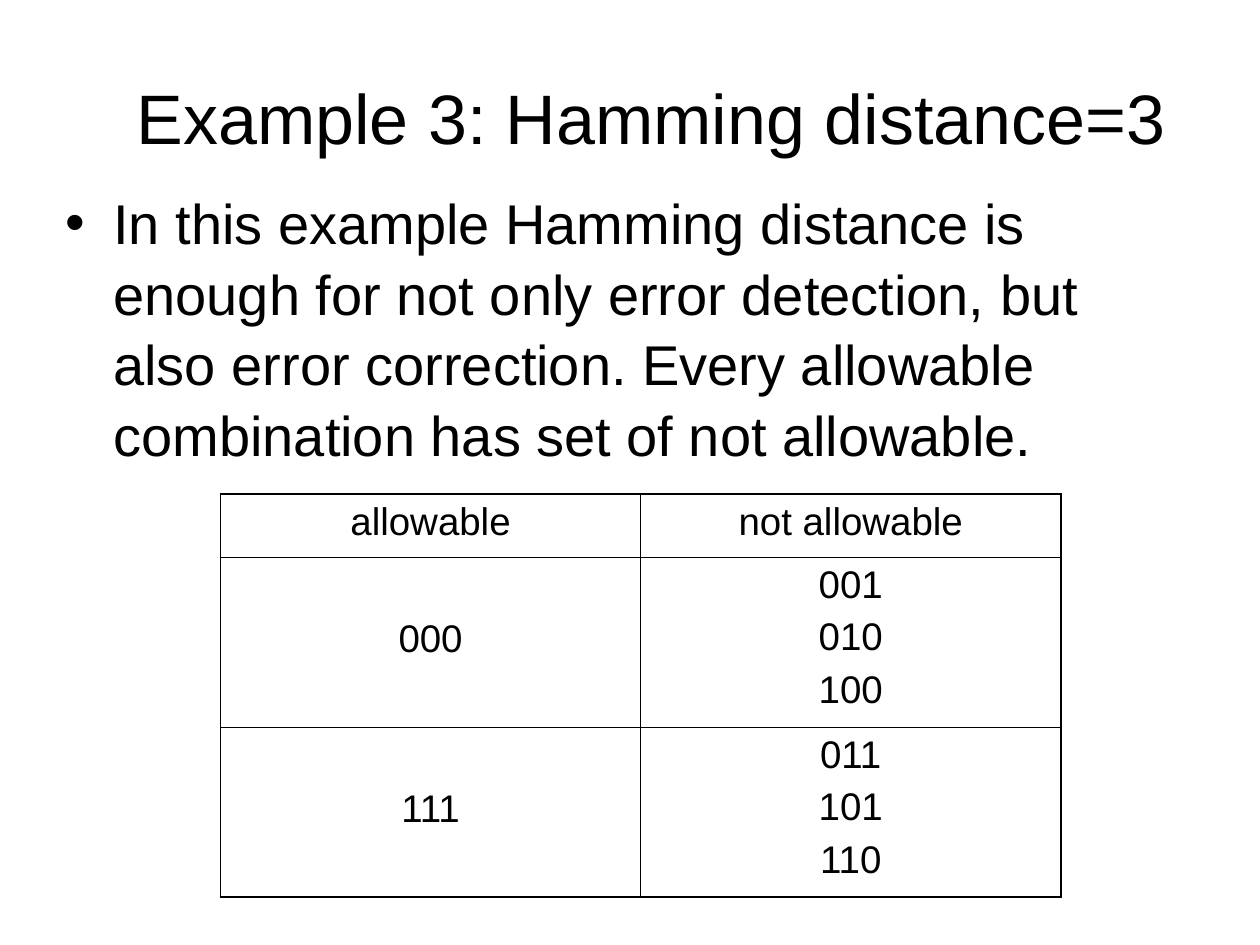
from lxml import etree
from pptx import Presentation
from pptx.dml.color import RGBColor
from pptx.enum.text import MSO_ANCHOR, MSO_AUTO_SIZE, PP_ALIGN
from pptx.oxml.ns import qn
from pptx.util import Inches, Pt

LEFT, CENTER = PP_ALIGN.LEFT, PP_ALIGN.CENTER
TOP, MIDDLE = MSO_ANCHOR.TOP, MSO_ANCHOR.MIDDLE
NO_AUTOFIT = MSO_AUTO_SIZE.NONE
FONT = "Arial"
BLACK = "000000"
OUTER, INNER = 1.08, 0.45
TITLE = "Example 3: Hamming distance=3"
BODY = ("In this example Hamming distance is enough for not only error detection, "
        "but also error correction. Every allowable combination has set of not allowable.")
ROWS = [
    (0.5, ["allowable"], ["not allowable"]),
    (1.35, ["000"], ["001", "010", "100"]),
    (1.35, ["111"], ["011", "101", "110"]),
]


def color(value):
    return RGBColor.from_string(value)


def write(p, text, size=22, align=CENTER, before=5.5, spacing=1.0):
    p.alignment = align
    p.space_before = Pt(before)
    p.line_spacing = spacing
    r = p.add_run()
    r.text = text
    r.font.size = Pt(size)
    r.font.name = FONT
    r.font.color.rgb = color(BLACK)


def place(sp, left, top, width, height, anchor):
    sp.left, sp.top = Inches(left), Inches(top)
    sp.width, sp.height = Inches(width), Inches(height)
    tf = sp.text_frame
    tf.word_wrap = True
    tf.auto_size = NO_AUTOFIT
    tf.vertical_anchor = anchor
    return tf.paragraphs[0]


def add_bullet(p, indent):
    pPr = p._p.get_or_add_pPr()
    pPr.set("marL", str(Inches(indent)))
    pPr.set("indent", str(-Inches(indent)))
    bu_color = etree.SubElement(pPr, qn("a:buClr"))
    etree.SubElement(bu_color, qn("a:srgbClr"), val=BLACK)
    etree.SubElement(pPr, qn("a:buFont"), typeface=FONT)
    etree.SubElement(pPr, qn("a:buChar"), char="•")


def set_borders(cell, widths):
    tcPr = cell._tc.get_or_add_tcPr()
    for i, (side, width) in enumerate(widths.items()):
        ln = etree.Element(qn(f"a:ln{side}"), w=str(Pt(width)))
        fill = etree.SubElement(ln, qn("a:solidFill"))
        etree.SubElement(fill, qn("a:srgbClr"), val=BLACK)
        tcPr.insert(i, ln)


def fill_cell(cell, lines):
    cell.fill.background()
    tf = cell.text_frame
    for i, line in enumerate(lines):
        write(tf.add_paragraph() if i else tf.paragraphs[0], line)


def add_code_table(s):
    height = sum(row[0] for row in ROWS)
    frame = s.shapes.add_table(len(ROWS), 2, Inches(1.75), Inches(3.92),
                               Inches(6.67), Inches(height))
    table = frame.table
    table.first_row = table.horz_banding = False
    last = len(ROWS) - 1
    for i, (row_height, *cells) in enumerate(ROWS):
        table.rows[i].height = Inches(row_height)
        for j, lines in enumerate(cells):
            cell = table.cell(i, j)
            fill_cell(cell, lines)
            if i and j == 0:
                cell.vertical_anchor = MIDDLE
                cell.margin_bottom = Inches(0.1)
            set_borders(cell, {
                "L": OUTER if j == 0 else INNER,
                "R": OUTER if j == 1 else INNER,
                "T": OUTER if i == 0 else INNER,
                "B": OUTER if i == last else INNER,
            })


def main():
    prs = Presentation()
    prs.slide_width, prs.slide_height = Inches(10), Inches(7.5)
    s = prs.slides.add_slide(prs.slide_layouts[1])
    title = place(s.shapes.title, 0.33, 0.3, 9.67, 1.25, MIDDLE)
    write(title, TITLE, size=40, before=0)
    body = place(s.placeholders[1], 0.42, 1.42, 9, 4.95, TOP)
    write(body, BODY, size=32, align=LEFT, before=8, spacing=1.05)
    add_bullet(body, 0.38)
    add_code_table(s)
    prs.save("out.pptx")


if __name__ == "__main__":
    main()
